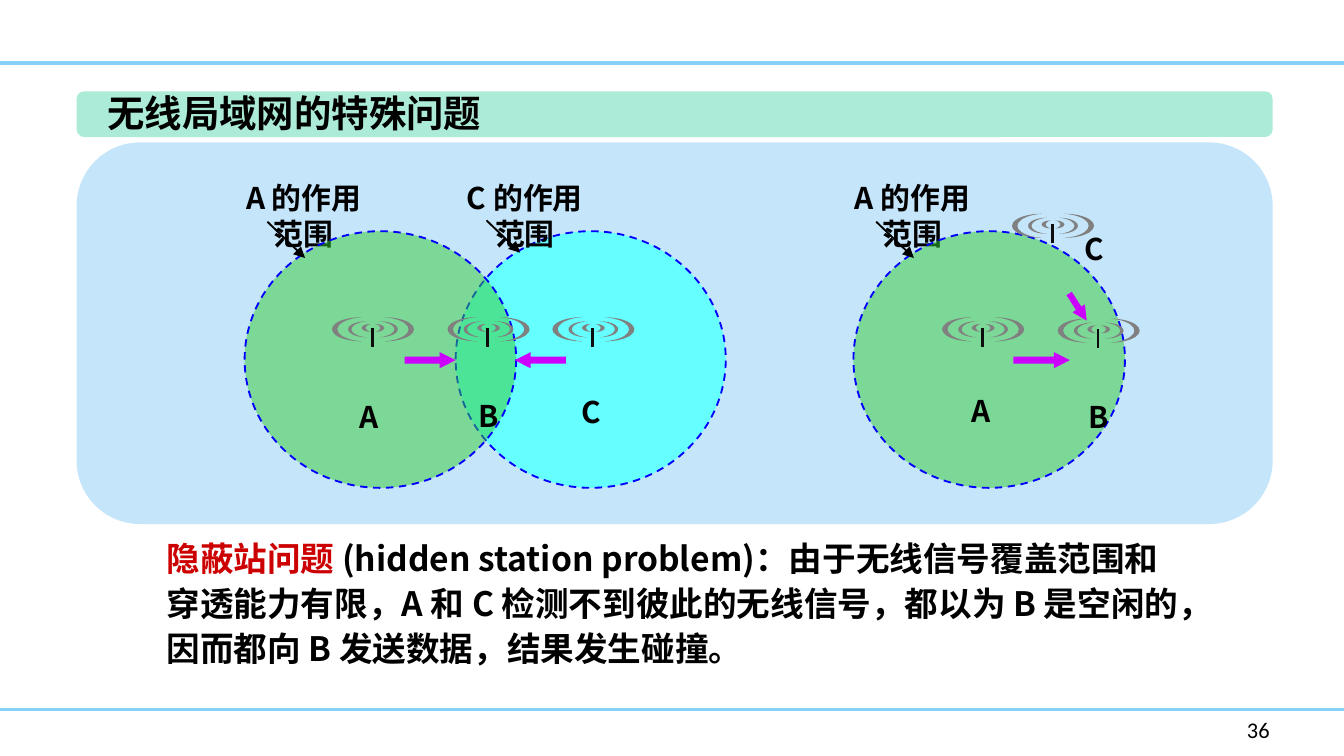
from dataclasses import dataclass

from lxml.etree import SubElement
from pptx import Presentation
from pptx.dml.color import RGBColor
from pptx.enum.dml import MSO_LINE_DASH_STYLE as DASH
from pptx.enum.shapes import MSO_AUTO_SHAPE_TYPE as SHAPE, MSO_CONNECTOR_TYPE as CONN
from pptx.enum.text import MSO_VERTICAL_ANCHOR as ANCHOR, PP_PARAGRAPH_ALIGNMENT as ALIGN
from pptx.oxml.ns import qn
from pptx.util import Emu, Pt

PX = 9144
CJK = "Noto Sans CJK SC"
COLORS = {
    "rule": "85D1F7", "heading": "ABEBD7", "panel": "C5E5FB", "cyan": "66FFFF",
    "green": "33CC33", "edge": "0000FF", "black": "000000", "mast": "0D0D0D",
    "wave": "808080", "signal": "CC00FF", "red": "CC0000",
}
LABEL = {"name": CJK, "size": Pt(16), "bold": True}
HEADING = {**LABEL, "size": Pt(20)}
BODY = {**LABEL, "size": Pt(18)}
NUMBER = {"name": "Calibri", "size": Pt(12), "bold": False}


@dataclass
class Box:
    x: int
    y: int
    w: int
    h: int


@dataclass
class Line:
    x1: int
    y1: int
    x2: int
    y2: int


@dataclass
class Label:
    text: str
    box: Box


@dataclass
class Wave:
    gap: int
    top: int
    w: int
    h: int
    adj: float


@dataclass
class Station:
    x: int
    y: int


@dataclass
class Signal:
    box: Box
    angle: int


RULES = [Line(0, y, 1000, y) for y in (47, 528)]
CAPTIONS = [
    Label("C 的作用范围", Box(334, 129, 113, 31)),
    Label("A 的作用范围", Box(169, 129, 114, 31)),
    Label("A 的作用范围", Box(622, 129, 114, 31)),
]
POINTERS = [Line(362, 164, 387, 188), Line(199, 165, 227, 192), Line(652, 165, 680, 192)]
GREEN_RANGES = [Box(x, 172, 202, 191) for x in (182, 635)]
NAMES = [
    Label("C", Box(423, 288, 35, 37)),
    Label("A", Box(258, 292, 37, 37)),
    Label("B", Box(346, 291, 36, 37)),
    Label("A", Box(713, 287, 37, 37)),
    Label("B", Box(800, 292, 36, 37)),
    Label("C", Box(797, 167, 35, 37)),
]
WAVES = [Wave(8, 0, 22, 18, 0.18), Wave(4, 3, 14, 12, 0.18), Wave(1, 5, 7, 6, 0.42)]
STATIONS = [Station(x, 236) for x in (277, 363, 441, 731)] + [Station(817, 237), Station(783, 159)]
SIGNALS = [
    Signal(Box(754, 262, 42, 12), 0),
    Signal(Box(790, 223, 24, 11), 57),
    Signal(Box(301, 262, 38, 12), 0),
    Signal(Box(383, 262, 38, 12), 180),
]


def px(*values: int) -> list[Emu]:
    return [Emu(v * PX) for v in values]


def rgb(name: str) -> RGBColor:
    return RGBColor.from_string(COLORS[name])


def add_shape(s, kind, box: Box, fill: str, adj: tuple = (), angle: int = 0):
    sp = s.shapes.add_shape(kind, *px(box.x, box.y, box.w, box.h))
    sp.shadow.inherit = False
    sp.fill.solid()
    sp.fill.fore_color.rgb = rgb(fill)
    sp.line.fill.background()
    sp.rotation = angle
    for i, value in enumerate(adj):
        sp.adjustments[i] = value
    return sp


def add_line(s, line: Line, color: str, width: float, arrow: bool = False) -> None:
    sp = s.shapes.add_connector(CONN.STRAIGHT, *px(line.x1, line.y1, line.x2, line.y2))
    sp.line.color.rgb = rgb(color)
    sp.line.width = Pt(width)
    if arrow:
        SubElement(sp.line._get_or_add_ln(), qn("a:tailEnd"), type="triangle")
    SubElement(sp._element.spPr, qn("a:effectLst"))


def add_range(s, box: Box, fill: str, opacity: int = 100) -> None:
    sp = add_shape(s, SHAPE.OVAL, box, fill)
    for key, value in {"width": Pt(1), "dash_style": DASH.DASH}.items():
        setattr(sp.line, key, value)
    sp.line.color.rgb = rgb("edge")
    if opacity < 100:
        clr = sp._element.spPr.find(qn("a:solidFill"))[0]
        SubElement(clr, qn("a:alpha"), val=str(opacity * 1000))


def add_text(s, box: Box, runs: list[tuple[str, str]], fmt: dict, wrap: bool = False):
    sp = s.shapes.add_textbox(*px(box.x, box.y, box.w, box.h))
    tf = sp.text_frame
    tf.word_wrap = wrap
    p = tf.paragraphs[0]
    for text, color in runs:
        r = p.add_run()
        r.text = text
        for key, value in fmt.items():
            setattr(r.font, key, value)
        r.font.color.rgb = rgb(color)
        SubElement(r._r.get_or_add_rPr(), qn("a:ea"), typeface=fmt["name"])
    return tf


def add_station(s, st: Station) -> None:
    add_line(s, Line(st.x, st.y + 8, st.x, st.y + 22), "mast", 1.5)
    for wave in WAVES:
        for x, angle in ((st.x - wave.gap - wave.w, 0), (st.x + wave.gap + 1, 180)):
            box = Box(x, st.y + wave.top, wave.w, wave.h)
            add_shape(s, SHAPE.MOON, box, "wave", (wave.adj,), angle)


def main() -> None:
    prs = Presentation()
    prs.slide_width = Emu(1000 * PX)
    prs.slide_height = Emu(1000 * PX * 9 // 16)
    s = prs.slides.add_slide(prs.slide_layouts[6])

    for rule in RULES:
        add_line(s, rule, "rule", 2)
    add_shape(s, SHAPE.ROUNDED_RECTANGLE, Box(57, 68, 890, 34), "heading")
    add_text(s, Box(70, 62, 309, 44), [("无线局域网的特殊问题", "black")], HEADING)
    add_shape(s, SHAPE.ROUNDED_RECTANGLE, Box(57, 106, 890, 284), "panel")

    add_range(s, Box(339, 172, 201, 191), "cyan")
    for caption in CAPTIONS:
        tf = add_text(s, caption.box, [(caption.text, "black")], LABEL, wrap=True)
        tf.paragraphs[0].alignment = ALIGN.CENTER
    for box in GREEN_RANGES:
        add_range(s, box, "green", 50)
    for pointer in POINTERS:
        add_line(s, pointer, "black", 1, arrow=True)
    for name in NAMES:
        add_text(s, name.box, [(name.text, "black")], LABEL)
    for station in STATIONS:
        add_station(s, station)
    for signal in SIGNALS:
        add_shape(s, SHAPE.RIGHT_ARROW, signal.box, "signal", (0.43, 0.99), signal.angle)

    runs = [
        ("隐蔽站问题 ", "red"),
        ("(hidden station problem)：由于无线信号覆盖范围和穿透能力有限，A 和 C 检测不到彼此的无线信号，"
         "都以为 B 是空闲的，因而都向 B 发送数据，结果发生碰撞。", "black"),
    ]
    tf = add_text(s, Box(114, 392, 779, 111), runs, BODY, wrap=True)
    tf.paragraphs[0].line_spacing = Pt(24)
    tf = add_text(s, Box(918, 528, 63, 30), [("36", "black")], NUMBER, wrap=True)
    tf.vertical_anchor = ANCHOR.MIDDLE
    prs.save("out.pptx")


if __name__ == "__main__":
    main()
